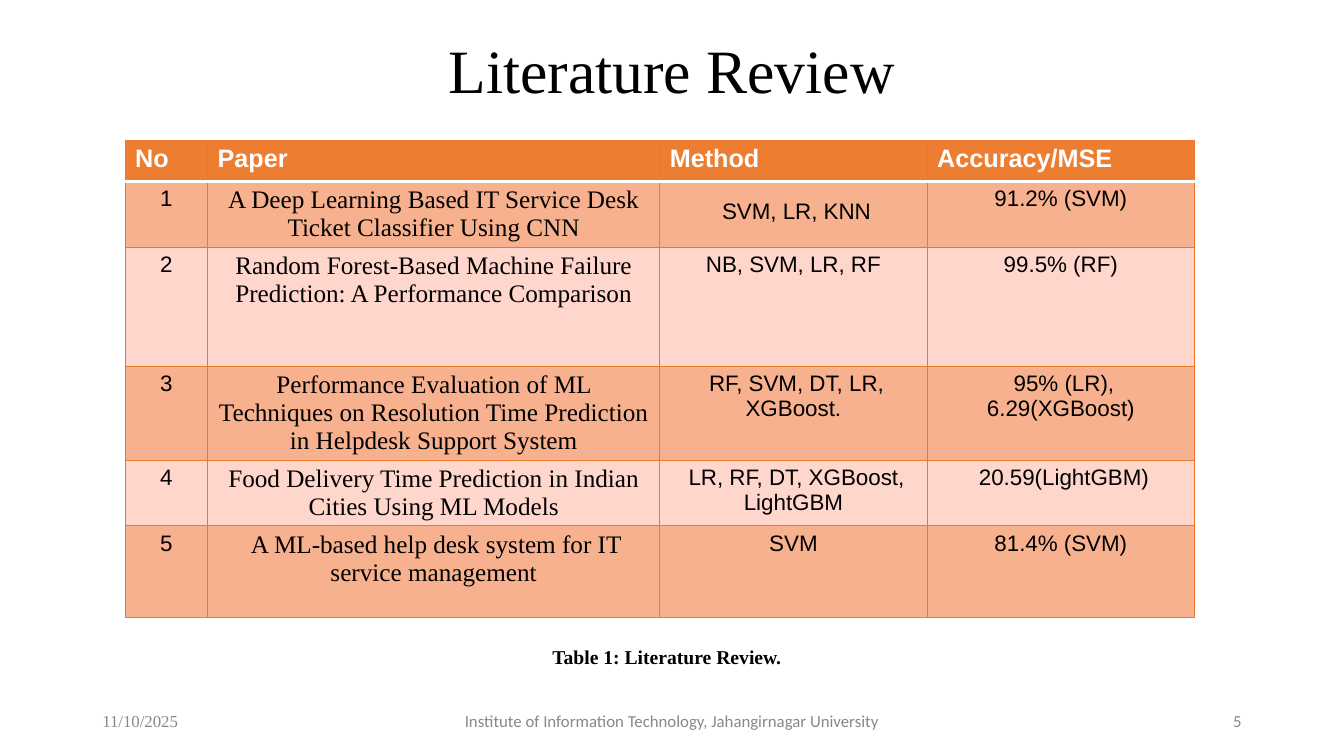
from lxml.etree import SubElement
from pptx import Presentation
from pptx.dml.color import RGBColor
from pptx.enum.text import MSO_ANCHOR, MSO_AUTO_SIZE, PP_ALIGN
from pptx.oxml.ns import qn
from pptx.util import Pt

COLORS = {
    "text": "000000", "muted": "888888", "white": "FFFFFF",
    "header": "ED7D31", "border": "EC792B",
    "dark band": "F8B18F", "light band": "FFD6CB",
}
SERIF, SANS, FOOTER = "Times New Roman", "Arial", "Calibri"
COLUMN_WIDTHS = [59, 323, 191, 191]
ROW_HEIGHTS = [29.5, 47, 85, 67, 47, 65.5]
HEADINGS = ["No", "Paper", "Method", "Accuracy/MSE"]
PAPERS = [
    ("A Deep Learning Based IT Service Desk Ticket Classifier Using CNN",
     " SVM, LR, KNN", "91.2% (SVM)"),
    ("Random Forest-Based Machine Failure Prediction: A Performance Comparison",
     "NB, SVM, LR, RF", "99.5% (RF)"),
    ("Performance Evaluation of ML Techniques on Resolution Time Prediction "
     "in Helpdesk Support System",
     " RF, SVM, DT, LR, XGBoost.", " 95% (LR), 6.29(XGBoost)"),
    ("Food Delivery Time Prediction in Indian Cities Using ML Models",
     " LR, RF, DT, XGBoost, LightGBM", " 20.59(LightGBM)"),
    (" A ML-based help desk system for IT service management",
     "SVM", "81.4% (SVM)"),
]


def write_text(frame, text, font=SANS, size=16, color="text", bold=False,
               align=PP_ALIGN.LEFT, line_spacing=None):
    paragraph = frame.paragraphs[0]
    paragraph.alignment = align
    if line_spacing:
        paragraph.line_spacing = line_spacing
    run = paragraph.add_run()
    run.text = text
    run.font.name = font
    run.font.size = Pt(size)
    run.font.bold = bold
    run.font.color.rgb = RGBColor.from_string(COLORS[color])


class SlideBuilder:
    def __init__(self, presentation):
        self.slide = presentation.slides.add_slide(presentation.slide_layouts[5])

    def title(self, text, left, top, width, height):
        shape = self.slide.shapes.title
        shape.left, shape.top = Pt(left), Pt(top)
        shape.width, shape.height = Pt(width), Pt(height)
        frame = shape.text_frame
        frame.auto_size = MSO_AUTO_SIZE.NONE
        frame.vertical_anchor = MSO_ANCHOR.MIDDLE
        write_text(frame, text, font=SERIF, size=44, align=PP_ALIGN.CENTER,
                   line_spacing=0.9)

    def text_box(self, text, left, top, width, height, wrap=True,
                 anchor=MSO_ANCHOR.MIDDLE, **text_format):
        shape = self.slide.shapes.add_textbox(Pt(left), Pt(top), Pt(width), Pt(height))
        frame = shape.text_frame
        frame.word_wrap = wrap
        frame.vertical_anchor = anchor
        write_text(frame, text, **text_format)

    def table(self, left, top, widths, heights):
        table = self.slide.shapes.add_table(
            len(heights), len(widths), Pt(left), Pt(top),
            Pt(sum(widths)), Pt(sum(heights))).table
        table.first_row = True
        table.horz_banding = False
        for column, width in zip(table.columns, widths):
            column.width = Pt(width)
        for row, height in zip(table.rows, heights):
            row.height = Pt(height)
        return table

    def border(self, cell, side, color, width):
        properties = cell._tc.get_or_add_tcPr()
        line = SubElement(properties, qn(f"a:ln{side}"), w=str(Pt(width)))
        fill = SubElement(line, qn("a:solidFill"))
        SubElement(fill, qn("a:srgbClr"), val=COLORS[color])

    def cell(self, cell, text, fill, white_side=None, **text_format):
        for side in "LRTB":
            if side == white_side:
                self.border(cell, side, "white", 2)
            else:
                self.border(cell, side, "border", 0.75)
        cell.fill.solid()
        cell.fill.fore_color.rgb = RGBColor.from_string(COLORS[fill])
        write_text(cell.text_frame, text, **text_format)


def main():
    presentation = Presentation()
    presentation.slide_width, presentation.slide_height = Pt(960), Pt(540)
    builder = SlideBuilder(presentation)
    builder.title("Literature Review", 66, 11, 828, 83)

    # Review table
    table = builder.table(89.3, 100, COLUMN_WIDTHS, ROW_HEIGHTS)
    for column, heading in enumerate(HEADINGS):
        builder.cell(table.cell(0, column), heading, "header", white_side="B",
                     size=18, color="white", bold=True)
    for number, paper in enumerate(PAPERS, start=1):
        band = "dark band" if number % 2 else "light band"
        for column, text in enumerate((str(number), *paper)):
            is_paper = HEADINGS[column] == "Paper"
            builder.cell(table.cell(number, column), text, band,
                         white_side="T" if number == 1 else None,
                         font=SERIF if is_paper else SANS,
                         size=18 if is_paper else 16, align=PP_ALIGN.CENTER)

    # The first method sits in the middle of its cell
    first_method = table.cell(1, HEADINGS.index("Method"))
    first_method.vertical_anchor = MSO_ANCHOR.MIDDLE
    first_method.margin_left = first_method.margin_right = Pt(0.7)
    first_method.margin_top = Pt(0.7)

    # Caption
    builder.text_box("Table 1: Literature Review.", 387.4, 457.2, 185.8, 24.5,
                     wrap=False, anchor=MSO_ANCHOR.TOP, font=SERIF, size=14, bold=True)

    # Footer
    footers = [
        ("11/10/2025", 66, 216, SERIF, PP_ALIGN.LEFT),
        ("Institute of Information Technology, Jahangirnagar University",
         318, 324, FOOTER, PP_ALIGN.CENTER),
        ("5", 678, 216, FOOTER, PP_ALIGN.RIGHT),
    ]
    for text, left, width, font, align in footers:
        builder.text_box(text, left, 500.5, width, 28.8, font=font, size=12,
                         color="muted", align=align)

    presentation.save("out.pptx")


if __name__ == "__main__":
    main()
